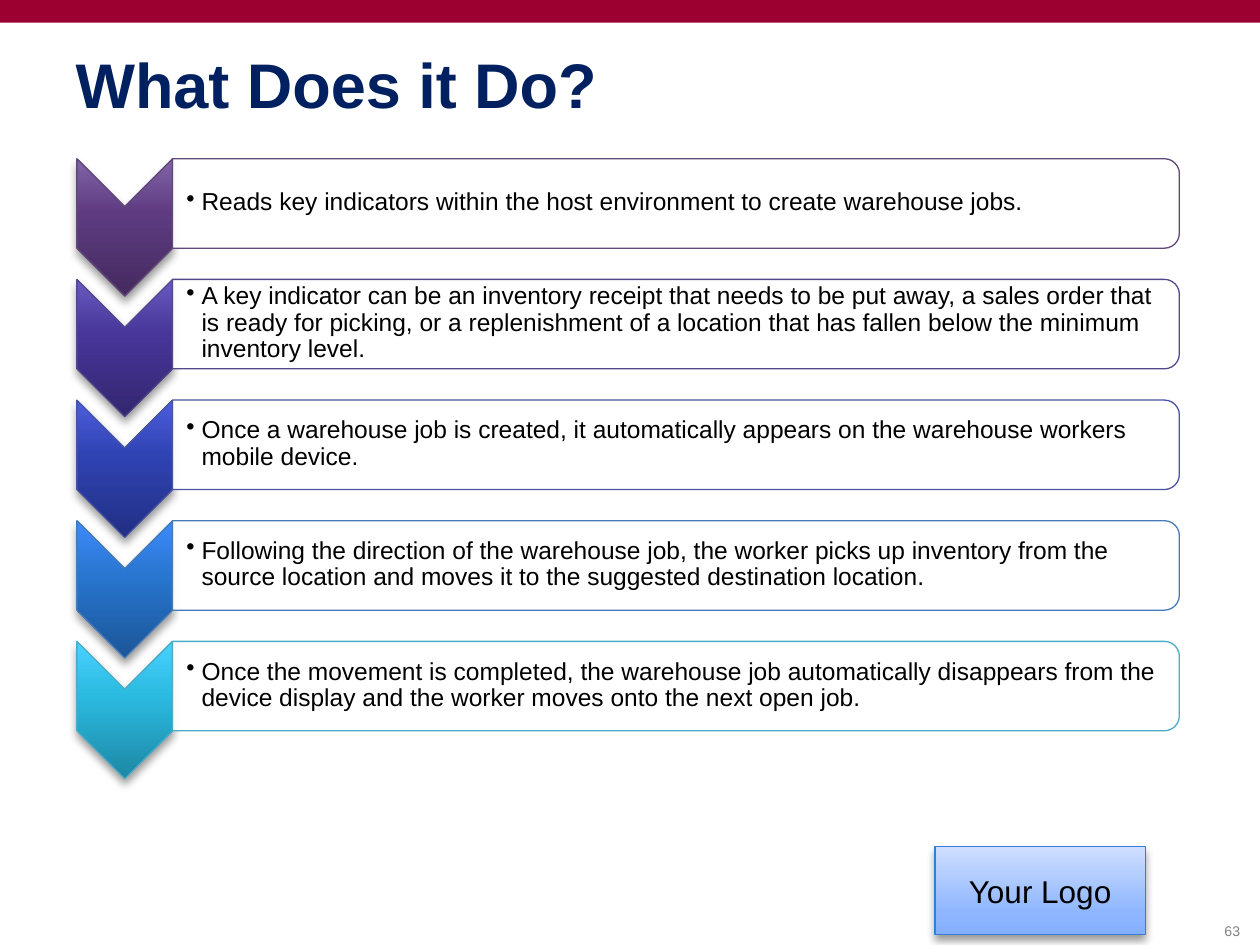
from lxml import etree
from pptx import Presentation
from pptx.dml.color import RGBColor
from pptx.enum.shapes import MSO_SHAPE
from pptx.enum.text import MSO_ANCHOR, PP_ALIGN
from pptx.oxml.ns import qn
from pptx.util import Emu, Inches, Pt

RECTANGLE = MSO_SHAPE.RECTANGLE
CHEVRON = MSO_SHAPE.CHEVRON
ROUNDED_SIDE = MSO_SHAPE.ROUND_2_SAME_RECTANGLE
TOP, MIDDLE = MSO_ANCHOR.TOP, MSO_ANCHOR.MIDDLE
LEFT, CENTER = PP_ALIGN.LEFT, PP_ALIGN.CENTER

STEPS_BOX = (0.61, 1.26, 8.75, 4.92)
CHEVRON_SIZE = (0.76, 1.09)
CARD_HEIGHT = 0.71
STEPS = [
    ("Reads key indicators within the host environment to create warehouse jobs.",
     "604878", ("442A5E", "5E3B81", "8364A8")),
    ("A key indicator can be an inventory receipt that needs to be put away, a sales order "
     "that is ready for picking, or a replenishment of a location that has fallen below the "
     "minimum inventory level.",
     "54488C", ("332670", "483699", "685AC0")),
    ("Once a warehouse job is created, it automatically appears on the warehouse workers "
     "mobile device.",
     "4854A1", ("212F83", "3043B3", "4D5DDC")),
    ("Following the direction of the warehouse job, the worker picks up inventory from the "
     "source location and moves it to the suggested destination location.",
     "457BB7", ("1B5598", "2876CF", "3E8AFC")),
    ("Once the movement is completed, the warehouse job automatically disappears from the "
     "device display and the worker moves onto the next open job.",
     "4BACC6", ("1D87A4", "2BBAE0", "49D2FF")),
]


def color(hex_value):
    return RGBColor.from_string(hex_value)


def add_element(parent, tag, **attributes):
    element = etree.SubElement(parent, qn(tag))
    for name, value in attributes.items():
        element.set(name, str(value))
    return element


def add_color(parent, hex_value, alpha=None):
    element = add_element(parent, "a:srgbClr", val=hex_value)
    if alpha is not None:
        add_element(element, "a:alpha", val=alpha * 1000)


def add_box(slide, kind, box, fill, line=None, turned=False):
    """Add a preset shape; a turned one is rotated 90 degrees to fill the box."""
    left, top, width, height = box
    if turned:
        left, top = left + (width - height) / 2, top + (height - width) / 2
        width, height = height, width
    shape = slide.shapes.add_shape(kind, *map(Inches, (left, top, width, height)))
    shape.rotation = 90 if turned else 0
    shape.shadow.inherit = False
    shape.fill.solid()
    shape.fill.fore_color.rgb = color(fill)
    if line:
        shape.line.color.rgb = color(line)
        shape.line.width = Pt(0.75)
    else:
        shape.line.fill.background()
    return shape


def set_gradient(shape, stops):
    """Replace the solid fill by (percent, colour) stops rising from the bottom."""
    solid = shape._element.spPr.find(qn("a:solidFill"))
    gradient = etree.Element(qn("a:gradFill"), rotWithShape="0")
    stop_list = add_element(gradient, "a:gsLst")
    for percent, hex_value in stops:
        add_color(add_element(stop_list, "a:gs", pos=percent * 1000), hex_value)
    add_element(gradient, "a:lin", ang=270 * 60000, scaled=0)
    solid.getparent().replace(solid, gradient)


def set_shadow(shape):
    effects = shape._element.spPr.find(qn("a:effectLst"))
    shadow = add_element(effects, "a:outerShdw", blurRad=Pt(5.2), dist=Pt(3),
                         dir=90 * 60000, rotWithShape=0)
    add_color(shadow, "000000", 40)


def set_text(shape, text, size, hex_value, bold=False, align=CENTER, anchor=MIDDLE):
    frame = shape.text_frame
    frame.word_wrap = True
    frame.vertical_anchor = anchor
    paragraph = frame.paragraphs[0]
    paragraph.alignment = align
    run = paragraph.add_run()
    run.text = text
    run.font.color.rgb = color(hex_value)
    for name, value in {"name": "Arial", "size": Pt(size), "bold": bold}.items():
        setattr(run.font, name, value)
    return paragraph


def make_bullet(paragraph):
    paragraph.line_spacing = 0.9
    properties = paragraph._p.get_or_add_pPr()
    properties.set("marL", str(Inches(0.12)))
    properties.set("indent", str(-Inches(0.12)))
    add_element(add_element(properties, "a:spcAft"), "a:spcPct", val=15000)
    add_element(properties, "a:buChar", char="•")


def add_step(slide, box, text, line, shades):
    left, top, width, height = box
    chevron_width = CHEVRON_SIZE[0]
    chevron = add_box(slide, CHEVRON, (left, top, chevron_width, height),
                      shades[0], line, turned=True)
    set_gradient(chevron, zip((0, 60, 100), shades))
    set_shadow(chevron)

    card_left, card_width = left + chevron_width, width - chevron_width
    card = add_box(slide, ROUNDED_SIDE, (card_left, top, card_width, CARD_HEIGHT),
                   "FFFFFF", line, turned=True)
    fill_color = card._element.spPr.find(qn("a:solidFill"))[0]
    add_element(fill_color, "a:alpha", val=90000)

    label_box = (card_left, top + 0.03, card_width - 0.03, CARD_HEIGHT - 0.07)
    label = slide.shapes.add_textbox(*map(Inches, label_box))
    margins = {"margin_left": 0.11, "margin_top": 0.01,
               "margin_right": 0.01, "margin_bottom": 0.01}
    for name, value in margins.items():
        setattr(label.text_frame, name, Inches(value))
    make_bullet(set_text(label, text, 14, "000000", align=LEFT))


def add_steps(slide, box):
    left, top, width, height = box
    step_height = CHEVRON_SIZE[1]
    pitch = (height - step_height) / (len(STEPS) - 1)
    for index, step in enumerate(STEPS):
        add_step(slide, (left, top + index * pitch, width, step_height), *step)


def add_title(slide, box):
    title = slide.shapes.title
    for name, value in zip(("left", "top", "width", "height"), box):
        setattr(title, name, Inches(value))
    set_text(title, "What Does it Do?", 36, "002060", bold=True, align=LEFT, anchor=TOP)


def add_logo_box(slide, box):
    logo = add_box(slide, RECTANGLE, box, "8EB6FF", "337ED9")
    set_gradient(logo, [(0, "84AFFD"), (25, "8EB6FF"), (100, "CEDEFF")])
    set_shadow(logo)
    set_text(logo, "Your Logo", 18, "000000")


def add_page_number(slide, box):
    number = slide.shapes.add_textbox(*map(Inches, box))
    set_text(number, "63", 8, "808080")


def main():
    presentation = Presentation()
    presentation.slide_width, presentation.slide_height = Inches(10), Inches(7.5)
    slide = presentation.slides.add_slide(presentation.slide_layouts[5])
    add_box(slide, RECTANGLE, (0, 0, 10, 0.18), "9C0030")
    add_logo_box(slide, (7.42, 6.72, 1.67, 0.7))
    add_title(slide, (0.5, 0.31, 9, 1.25))
    add_steps(slide, STEPS_BOX)
    add_page_number(slide, (9.57, 7.19, 0.42, 0.4))
    presentation.save("out.pptx")


if __name__ == "__main__":
    main()
